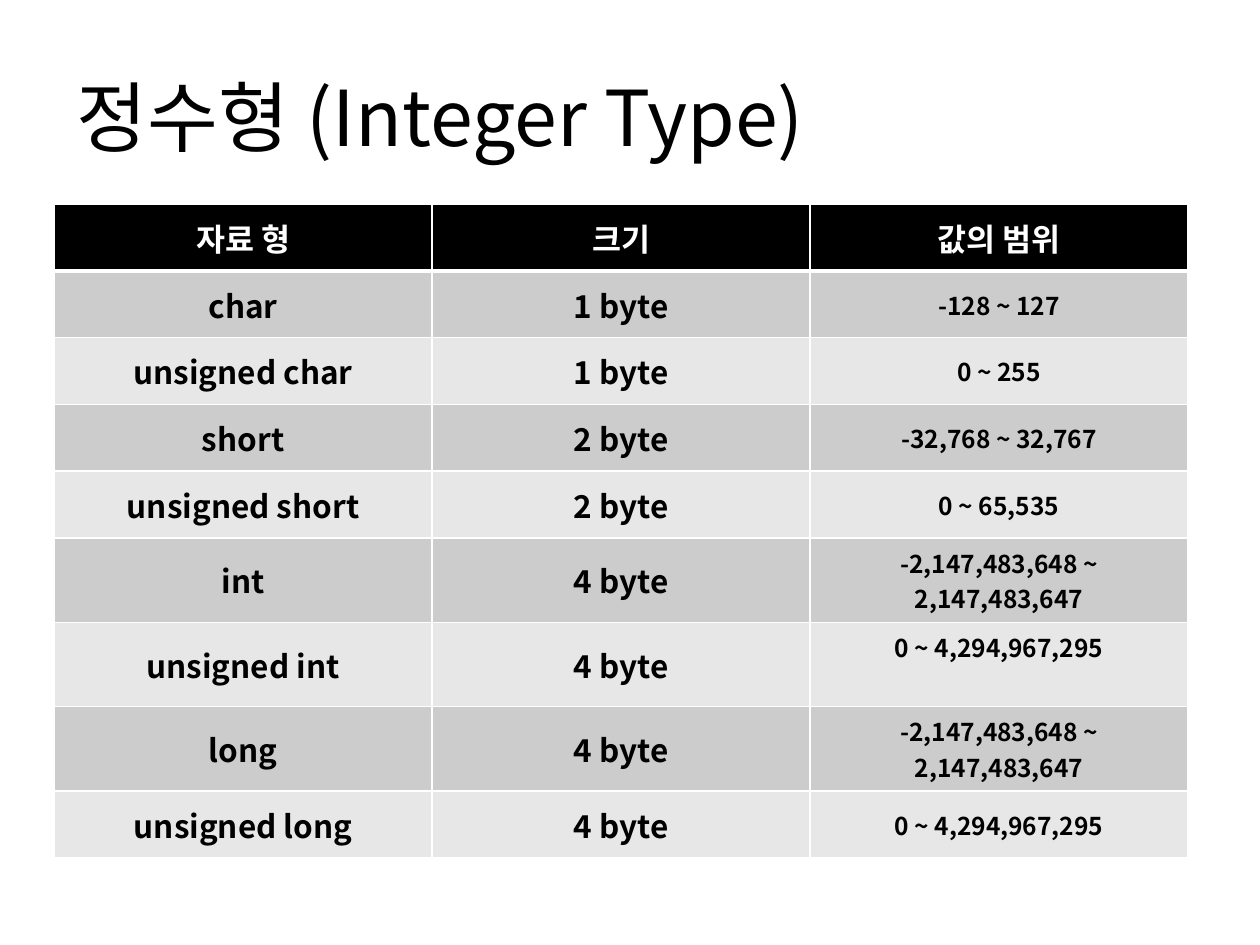
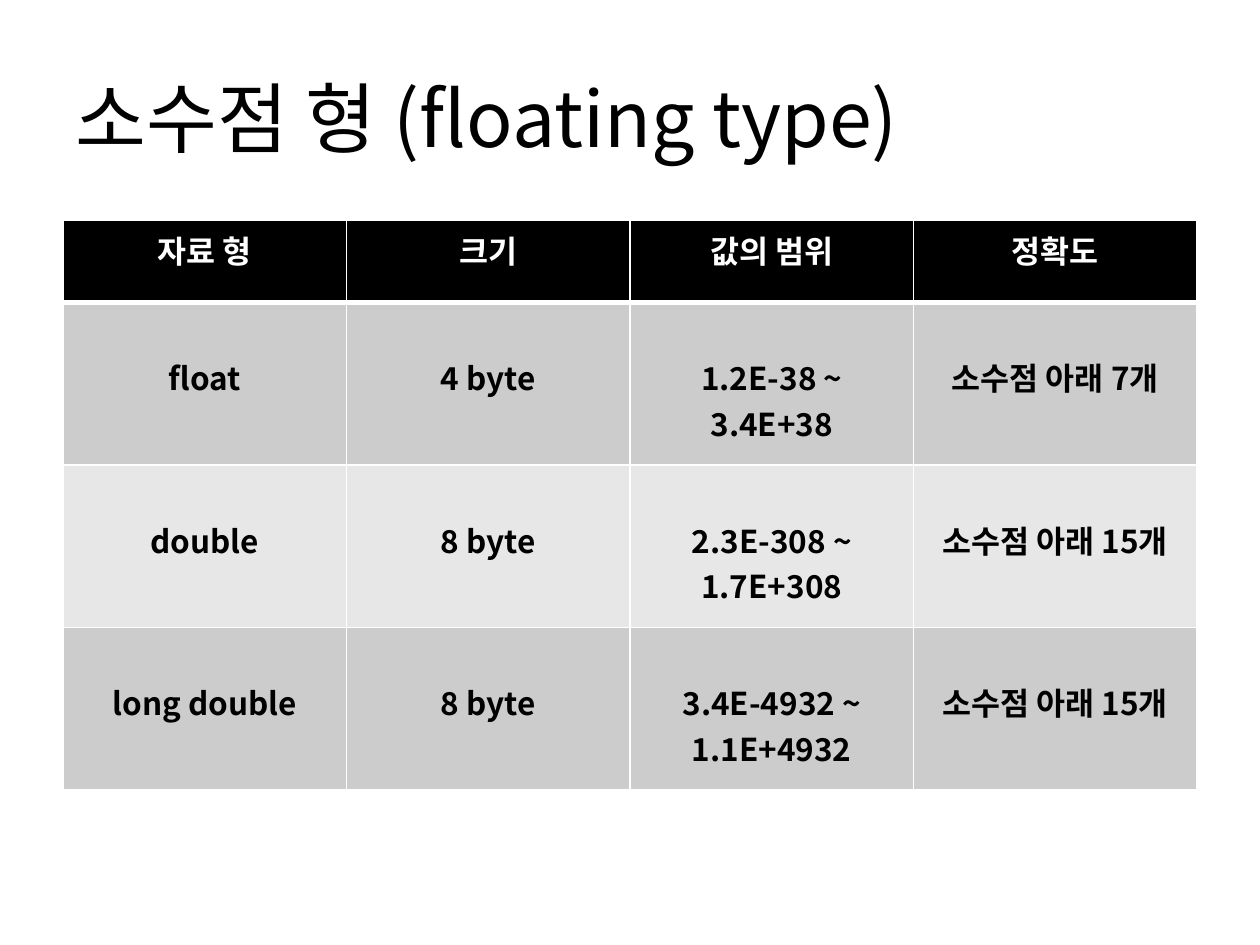
from dataclasses import dataclass

from lxml import etree
from pptx import Presentation
from pptx.dml.color import RGBColor
from pptx.enum.text import MSO_ANCHOR, MSO_AUTO_SIZE, PP_ALIGN
from pptx.oxml.ns import qn
from pptx.util import Inches, Pt

TOP, MIDDLE = MSO_ANCHOR.TOP, MSO_ANCHOR.MIDDLE
LEFT, CENTER = PP_ALIGN.LEFT, PP_ALIGN.CENTER
TITLE_ONLY = 5


@dataclass(frozen=True)
class Theme:
    font: str = "Noto Sans CJK KR"
    white: str = "FFFFFF"
    black: str = "000000"
    bands: tuple = ("CCCCCC", "E7E7E7")
    title_size: int = 44
    text_size: int = 18
    range_size: int = 14
    thin_line: int = 1
    header_line: int = 3


THEME = Theme()
CONTENT_WIDTH = 9

INTEGER_ROWS = [
    ("자료 형", "크기", "값의 범위"),
    ("char", "1 byte", "-128 ~ 127"),
    ("unsigned char", "1 byte", "0 ~ 255"),
    ("short", "2 byte", "-32,768 ~ 32,767"),
    ("unsigned short", "2 byte", "0 ~ 65,535"),
    ("int", "4 byte", "-2,147,483,648 ~ 2,147,483,647"),
    ("unsigned int", "4 byte", "0 ~ 4,294,967,295"),
    ("long", "4 byte", "-2,147,483,648 ~ 2,147,483,647"),
    ("unsigned long", "4 byte", "0 ~ 4,294,967,295"),
]
INTEGER_HEIGHTS = [0.53] * 5 + [0.67] * 3 + [0.53]
UNSIGNED_INT_ROW = 6
RANGE_COLUMN = 2

FLOATING_ROWS = [
    ("자료 형", "크기", "값의 범위", "정확도"),
    ("float", "4 byte", "1.2E-38 ~ 3.4E+38", "소수점 아래 7개"),
    ("double", "8 byte", "2.3E-308 ~ 1.7E+308", "소수점 아래 15개"),
    ("long double", "8 byte", "3.4E-4932 ~ 1.1E+4932", "소수점 아래 15개"),
]
FLOATING_HEIGHTS = [0.65] + [1.29] * 3
FLOATING_TOP_MARGIN = 0.41


def set_attributes(target, values):
    for name, value in values.items():
        setattr(target, name, value)


def write_text(text_frame, text, alignment, size, color, bold=False):
    paragraph = text_frame.paragraphs[0]
    paragraph.alignment = alignment
    run = paragraph.add_run()
    run.text = text
    set_attributes(run.font, {"name": THEME.font, "size": Pt(size), "bold": bold})
    run.font.color.rgb = RGBColor.from_string(color)
    # Korean glyphs use the East Asian font slot.
    east_asian = etree.Element(qn("a:ea"), typeface=THEME.font)
    run.font._element.find(qn("a:latin")).addnext(east_asian)


def add_titled_slide(presentation, text, left, top):
    slide = presentation.slides.add_slide(presentation.slide_layouts[TITLE_ONLY])
    title = slide.shapes.title
    set_attributes(title, {
        "left": Inches(left), "top": Inches(top),
        "width": Inches(CONTENT_WIDTH), "height": Inches(1.25),
    })
    set_attributes(title.text_frame, {
        "vertical_anchor": MIDDLE, "word_wrap": True, "auto_size": MSO_AUTO_SIZE.NONE,
    })
    write_text(title.text_frame, text, LEFT, THEME.title_size, THEME.black)
    return slide


def set_borders(cell, row_index):
    """Draw thin white borders, with a thicker one below the header."""
    widths = dict.fromkeys(("lnL", "lnR", "lnT", "lnB"), THEME.thin_line)
    if row_index == 0:
        widths["lnB"] = THEME.header_line
    elif row_index == 1:
        widths["lnT"] = THEME.header_line
    properties = cell._tc.get_or_add_tcPr()
    for side, width in widths.items():
        line = etree.SubElement(properties, qn(f"a:{side}"), w=str(Pt(width)))
        fill = etree.SubElement(line, qn("a:solidFill"))
        etree.SubElement(fill, qn("a:srgbClr"), val=THEME.white)


def format_cell(cell, text, row_index, size, anchor):
    is_header = row_index == 0
    fill_color = THEME.black if is_header else THEME.bands[(row_index - 1) % 2]
    text_color = THEME.white if is_header else THEME.black
    set_borders(cell, row_index)
    cell.fill.solid()
    cell.fill.fore_color.rgb = RGBColor.from_string(fill_color)
    cell.vertical_anchor = anchor
    write_text(cell.text_frame, text, CENTER, size, text_color, bold=True)


def add_type_table(slide, rows, left, top, heights, anchor, range_size=THEME.text_size):
    column_count = len(rows[0])
    frame = slide.shapes.add_table(
        len(rows), column_count, Inches(left), Inches(top),
        Inches(CONTENT_WIDTH), Inches(sum(heights)))
    table = frame.table
    for column in table.columns:
        column.width = Inches(CONTENT_WIDTH / column_count)
    for row_index, (texts, height) in enumerate(zip(rows, heights)):
        table.rows[row_index].height = Inches(height)
        for column_index, text in enumerate(texts):
            is_range = row_index > 0 and column_index == RANGE_COLUMN
            size = range_size if is_range else THEME.text_size
            format_cell(table.cell(row_index, column_index), text, row_index, size, anchor)
    return table


def add_integer_slide(presentation):
    slide = add_titled_slide(presentation, "정수형 (Integer Type)", 0.51, 0.29)
    table = add_type_table(slide, INTEGER_ROWS, 0.43, 1.62, INTEGER_HEIGHTS,
                           MIDDLE, THEME.range_size)
    table.cell(UNSIGNED_INT_ROW, RANGE_COLUMN).vertical_anchor = TOP


def add_floating_slide(presentation):
    slide = add_titled_slide(presentation, "소수점 형 (floating type)", 0.5, 0.3)
    table = add_type_table(slide, FLOATING_ROWS, 0.5, 1.75, FLOATING_HEIGHTS, TOP)
    for row_index in range(1, len(FLOATING_ROWS)):
        for cell in table.rows[row_index].cells:
            cell.margin_top = Inches(FLOATING_TOP_MARGIN)


def main():
    presentation = Presentation()
    set_attributes(presentation, {"slide_width": Inches(10), "slide_height": Inches(7.5)})
    add_integer_slide(presentation)
    add_floating_slide(presentation)
    presentation.save("out.pptx")


if __name__ == "__main__":
    main()
